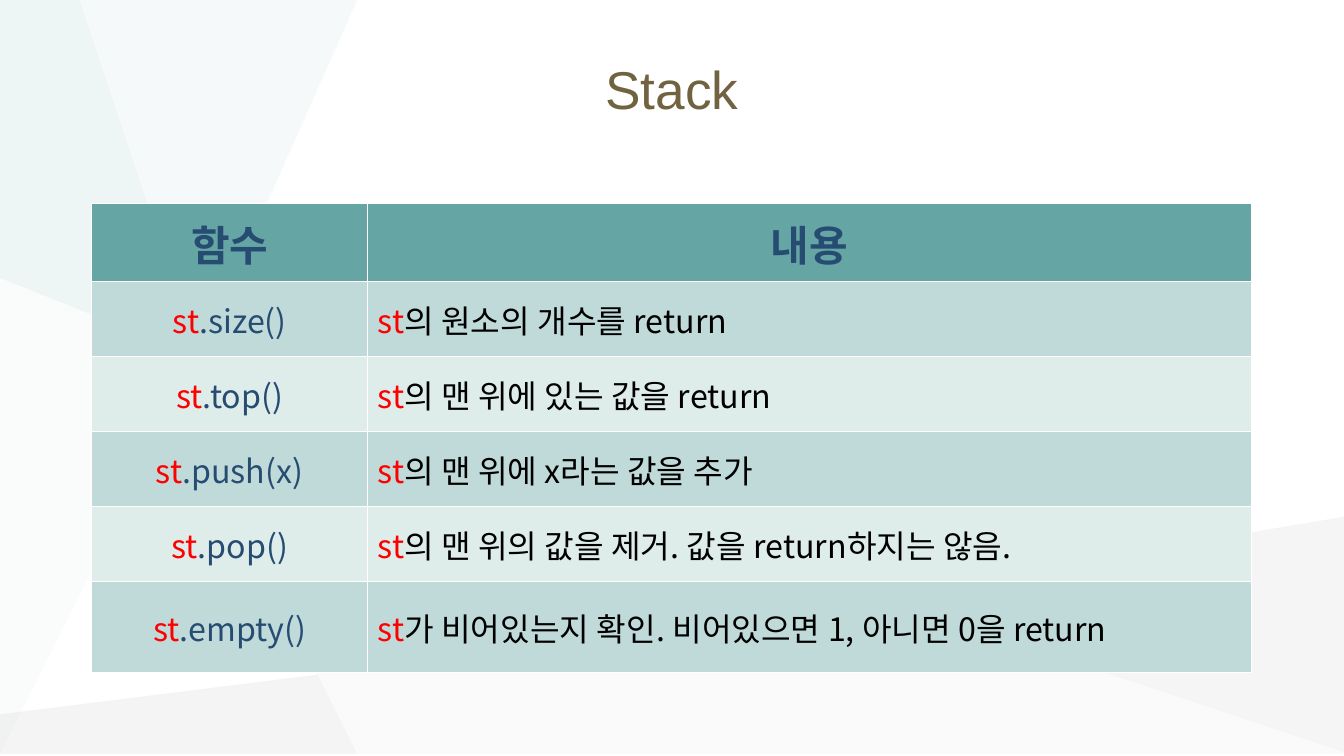
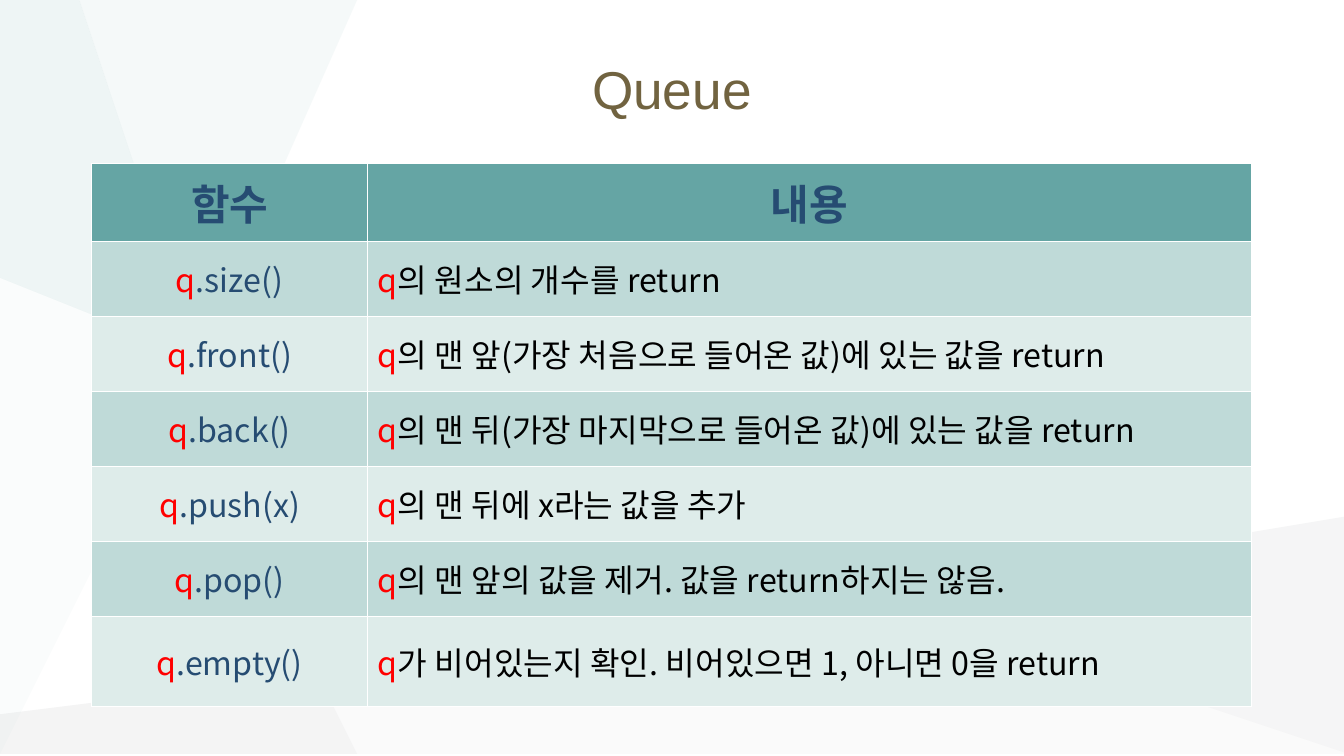
from dataclasses import dataclass

from lxml import etree
from pptx import Presentation
from pptx import util as u
from pptx.dml import color
from pptx.enum import text
from pptx.oxml import ns

TITLE_COLOR = "716340"
NAVY = "264C72"
RED = "FF0000"
BLACK = "000000"
HEADER_FILL = "65A5A4"
BANDS = ("BFDAD8", "DEECEA")
TITLE_FONT = "Arial"
TABLE_FONT = "Noto Sans CJK KR"

WIDTH, HEIGHT = 33.87, 19.05
TABLE_LEFT = 2.31
COLUMNS = (6.96, 22.26)
HEADER_H, ROW_H, LAST_H = 1.97, 1.89, 2.28
HEADINGS = ("함수", "내용")

HUB = (4.75, 8.71)
LOWER = (7.73, 17.17)
RIGHT = (22.33, 14.86)
FOOT = (8.56, HEIGHT)
LEFT_EDGE = (0, 7.09)
RIGHT_EDGE = (WIDTH, 18.54)


@dataclass(frozen=True)
class Facet:
    fill: str
    opacity: int
    points: tuple[tuple[float, float], ...]


@dataclass(frozen=True)
class Function:
    call: str
    meaning: str


@dataclass(frozen=True)
class Container:
    title: str
    variable: str
    top: float
    functions: tuple[Function, ...]


FACETS = (
    Facet("F3F2F2", 26, ((4.83, 8.74), LOWER, RIGHT)),
    Facet("B6B8BA", 15, (LOWER, (0, 18.42), (0, HEIGHT), FOOT)),
    Facet("E0EDED", 31, ((9.09, 0), (1.57, 0), HUB)),
    Facet("C6C8CA", 17, ((WIDTH, 13.06), RIGHT, RIGHT_EDGE)),
    Facet("B6B8BA", 6, (RIGHT, LOWER, FOOT, (WIDTH, HEIGHT), RIGHT_EDGE)),
    Facet("C1DBDB", 27, ((1.63, 0), (0, 0), LEFT_EDGE, HUB)),
    Facet("C1DBDB", 8, (LEFT_EDGE, (0, 18.54), HUB)),
)

SIZE = Function(".size()", "의 원소의 개수를 return")
EMPTY = Function(".empty()", "가 비어있는지 확인. 비어있으면 1, 아니면 0을 return")

CONTAINERS = (
    Container("Stack", "st", 5.13, (
        SIZE,
        Function(".top()", "의 맨 위에 있는 값을 return"),
        Function(".push(x)", "의 맨 위에 x라는 값을 추가"),
        Function(".pop()", "의 맨 위의 값을 제거. 값을 return하지는 않음."),
        EMPTY,
    )),
    Container("Queue", "q", 4.11, (
        SIZE,
        Function(".front()", "의 맨 앞(가장 처음으로 들어온 값)에 있는 값을 return"),
        Function(".back()", "의 맨 뒤(가장 마지막으로 들어온 값)에 있는 값을 return"),
        Function(".push(x)", "의 맨 뒤에 x라는 값을 추가"),
        Function(".pop()", "의 맨 앞의 값을 제거. 값을 return하지는 않음."),
        EMPTY,
    )),
)


def paint(target, hex_color: str) -> None:
    target.solid()
    target.fore_color.rgb = color.RGBColor.from_string(hex_color)


def format_run(r, font: str, size: float, hex_color: str, bold: bool = False) -> None:
    r.font.name = font
    r.font.size = u.Pt(size)
    r.font.bold = bold
    paint(r.font.fill, hex_color)
    ea = etree.SubElement(r.font._element, ns.qn("a:ea"))
    ea.set("typeface", font)


def draw_facet(slide, facet: Facet):
    builder = slide.shapes.build_freeform(*facet.points[0], scale=u.Cm(1))
    builder.add_line_segments(facet.points[1:], close=True)
    sp = builder.convert_to_shape()
    sp.shadow.inherit = False
    sp.line.fill.background()
    paint(sp.fill, facet.fill)
    rgb = sp.element.spPr.find(".//" + ns.qn("a:srgbClr"))
    etree.SubElement(rgb, ns.qn("a:alpha")).set("val", str(facet.opacity * 1000))
    return sp


def move_facets_to_layout(slide, layout) -> None:
    tree = layout.shapes.element
    for i, facet in enumerate(FACETS):
        sp = draw_facet(slide, facet)
        sp.element.nvSpPr.cNvPr.id = 100 + i
        tree.insert(2 + i, sp.element)


def place_title(layout) -> None:
    sp = layout.placeholders[0]
    sp.left, sp.top = u.Cm(1.24), u.Cm(0.91)
    sp.width, sp.height = u.Cm(31.39), u.Cm(2.62)


def fill_cell(cell, fill: str, runs: list[tuple[str, str]], size: float,
              centered: bool, bold: bool = False) -> None:
    paint(cell.fill, fill)
    cell.vertical_anchor = text.MSO_ANCHOR.MIDDLE
    p = cell.text_frame.paragraphs[0]
    p.alignment = text.PP_ALIGN.CENTER if centered else text.PP_ALIGN.LEFT
    for words, hex_color in runs:
        r = p.add_run()
        r.text = words
        format_run(r, TABLE_FONT, size, hex_color, bold)


def draw_table(slide, container: Container) -> None:
    count = len(container.functions)
    heights = [HEADER_H] + [ROW_H] * (count - 1) + [LAST_H]
    table = slide.shapes.add_table(
        count + 1, len(COLUMNS), u.Cm(TABLE_LEFT), u.Cm(container.top),
        u.Cm(sum(COLUMNS)), u.Cm(sum(heights))).table
    for column, width in zip(table.columns, COLUMNS):
        column.width = u.Cm(width)
    for row, height in zip(table.rows, heights):
        row.height = u.Cm(height)
    for i, heading in enumerate(HEADINGS):
        fill_cell(table.cell(0, i), HEADER_FILL, [(heading, NAVY)], 30, True, True)
    for i, function in enumerate(container.functions):
        band = BANDS[i % 2]
        variable = (container.variable, RED)
        fill_cell(table.cell(i + 1, 0), band, [variable, (function.call, NAVY)], 23, True)
        fill_cell(table.cell(i + 1, 1), band, [variable, (function.meaning, BLACK)], 23, False)


def draw_slide(slide, container: Container) -> None:
    tf = slide.shapes.title.text_frame
    tf.text = container.title
    tf.vertical_anchor = text.MSO_ANCHOR.MIDDLE
    p = tf.paragraphs[0]
    p.alignment = text.PP_ALIGN.CENTER
    format_run(p.runs[0], TITLE_FONT, 38, TITLE_COLOR)
    draw_table(slide, container)


def main() -> None:
    prs = Presentation()
    prs.slide_width, prs.slide_height = u.Cm(WIDTH), u.Cm(HEIGHT)
    layout = prs.slide_layouts.get_by_name("Title Only")
    place_title(layout)
    slides = [prs.slides.add_slide(layout) for _ in CONTAINERS]
    move_facets_to_layout(slides[0], layout)
    for slide, container in zip(slides, CONTAINERS):
        draw_slide(slide, container)
    prs.save("out.pptx")


if __name__ == "__main__":
    main()
